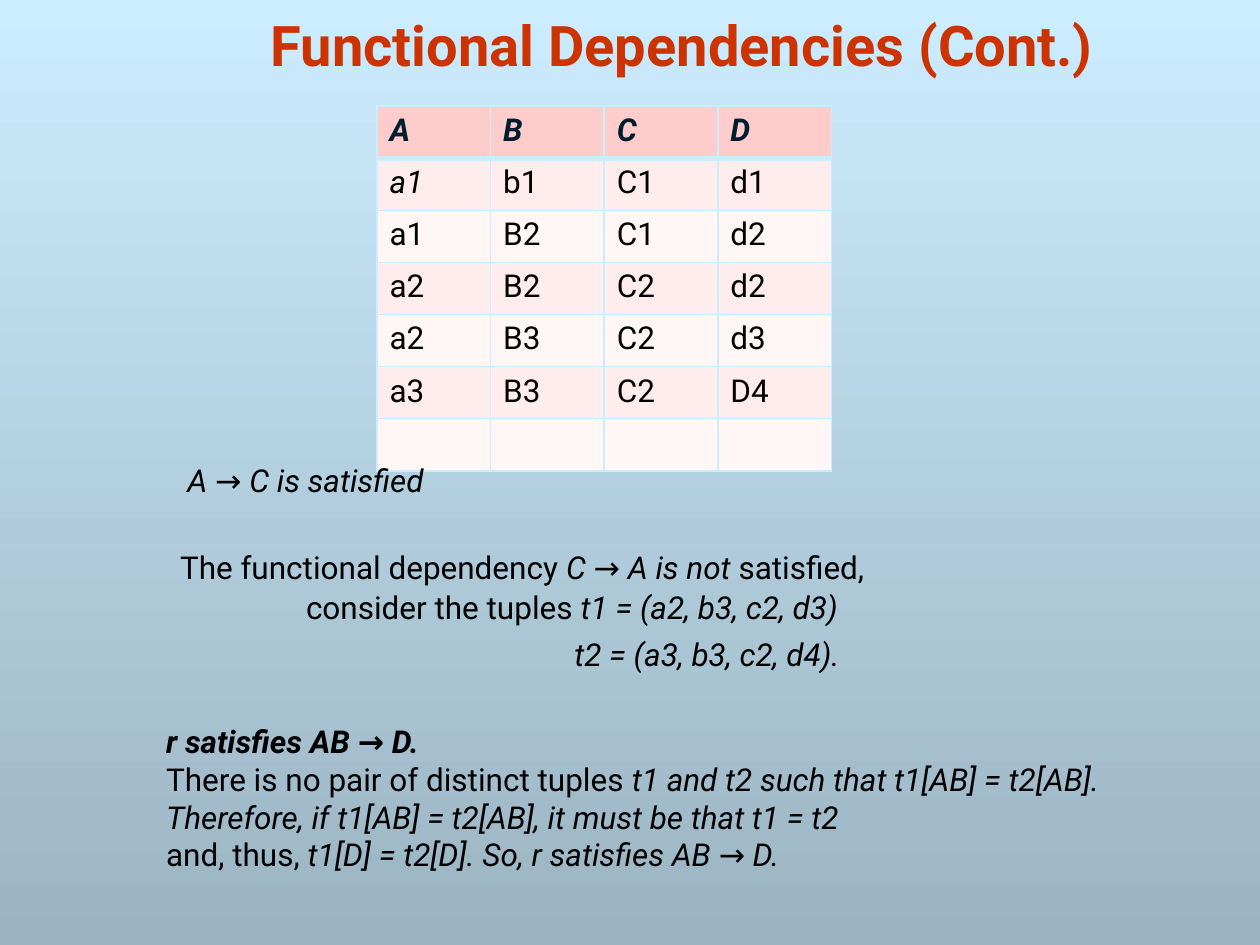
from lxml import etree
from pptx import Presentation
from pptx import util as u
from pptx.dml.color import RGBColor
from pptx.enum import text
from pptx.oxml import ns

FONT = "Roboto"
PALE = "CCECFF"
ROWS = ["A B C D", "a1 b1 C1 d1", "a1 B2 C1 d2", "a2 B2 C2 d2",
        "a2 B3 C2 d3", "a3 B3 C2 D4", ""]


def tint(code):
    return RGBColor.from_string(code)


def write(para, words, style="", size=18, color="000000", align=None):
    """Add one run; style holds "b" for bold and "i" for italic."""
    run = para.add_run()
    run.text = words
    font = run.font
    font.name, font.size = FONT, u.Pt(size)
    font.bold, font.italic = "b" in style, "i" in style
    font.color.rgb = tint(color)
    if align is not None:
        para.alignment = align


def add_text(slide, box, lines, wrap=True, anchor=text.MSO_ANCHOR.TOP, **form):
    """Each line is a list of (words, style) runs."""
    frame = slide.shapes.add_textbox(*map(u.Cm, box)).text_frame
    frame.word_wrap, frame.vertical_anchor = wrap, anchor
    for i, line in enumerate(lines):
        para = frame.add_paragraph() if i else frame.paragraphs[0]
        for words, style in line:
            write(para, words, style, **form)


def add_edge(cell, side, width):
    line = etree.SubElement(cell._tc.get_or_add_tcPr(), ns.qn(f"a:ln{side}"),
                            w=str(u.Pt(width)))
    fill = etree.SubElement(line, ns.qn("a:solidFill"))
    etree.SubElement(fill, ns.qn("a:srgbClr"), val=PALE)


def add_grid(slide, left, top, wide, high):
    heads = ROWS[0].split()
    frame = slide.shapes.add_table(len(ROWS), len(heads), u.Cm(left), u.Cm(top),
                                   u.Cm(wide * len(heads)), u.Cm(high * len(ROWS)))
    table = frame.table
    for col in table.columns:
        col.width = u.Cm(wide)
    for r, row in enumerate(ROWS):
        table.rows[r].height = u.Cm(high)
        words = row.split()
        for c in range(len(heads)):
            cell = table.cell(r, c)
            # The line under the header row is thicker
            for side in "LRTB":
                thick = (r, side) in ((0, "B"), (1, "T"))
                add_edge(cell, side, 3 if thick else 1)
            cell.fill.solid()
            shade = "FFCCCC" if r == 0 else "FFECEC" if r % 2 else "FFF6F6"
            cell.fill.fore_color.rgb = tint(shade)
            if words:
                style = "bi" if r == 0 else "i" if (r, c) == (1, 0) else ""
                write(cell.text_frame.paragraphs[0], words[c], style,
                      color="000000" if r else "001D2E")


def add_back(slide):
    fill = slide.background.fill
    fill.gradient()
    fill.gradient_angle = 270
    for stop, code in zip(fill.gradient_stops, (PALE, "9BB4C2")):
        stop.color.rgb = tint(code)


def main():
    deck = Presentation()
    deck.slide_width, deck.slide_height = u.Cm(25.4), u.Cm(19.05)
    slide = deck.slides.add_slide(deck.slide_layouts[6])
    add_back(slide)

    # Title and relation
    add_text(slide, (2.54, 0, 22.43, 1.7), [[("Functional Dependencies (Cont.)", "b")]],
             anchor=text.MSO_ANCHOR.BOTTOM, size=32, color="CC3300",
             align=text.PP_ALIGN.CENTER)
    add_grid(slide, 7.6, 2.14, 2.29, 1.05)

    # Conclusion on AB → D
    add_text(slide, (3.1, 14.43, 20.6, 3.33), [
        [("r satisfies AB → D.", "bi")],
        [("There is no pair of distinct tuples ", ""),
         ("t1 and t2 such that t1[AB] = t2[AB].", "i")],
        [("Therefore, if t1[AB] = t2[AB], it must be that t1 = t2", "i")],
        [("and, thus, ", ""), ("t1[D] = t2[D]. So, r satisfies AB → D.", "i")]])

    # Notes on A → C and C → A
    add_text(slide, (3.53, 9.17, 5.54, 1.02), [[("A → C is satisfied", "i")]], wrap=False)
    add_text(slide, (3.38, 10.92, 16.92, 1.02), [
        [("The functional dependency ", ""), ("C → A is not ", "i"), ("satisfied,", "")]])
    add_text(slide, (5.92, 11.73, 15.62, 1.02), [
        [("consider the tuples ", ""), ("t1 = (a2, b3, c2, d3)", "i")]])
    add_text(slide, (11.33, 12.67, 6.27, 1.02), [[("t2 = (a3, b3, c2, d4).", "i")]],
             wrap=False)

    deck.save("out.pptx")


if __name__ == "__main__":
    main()
